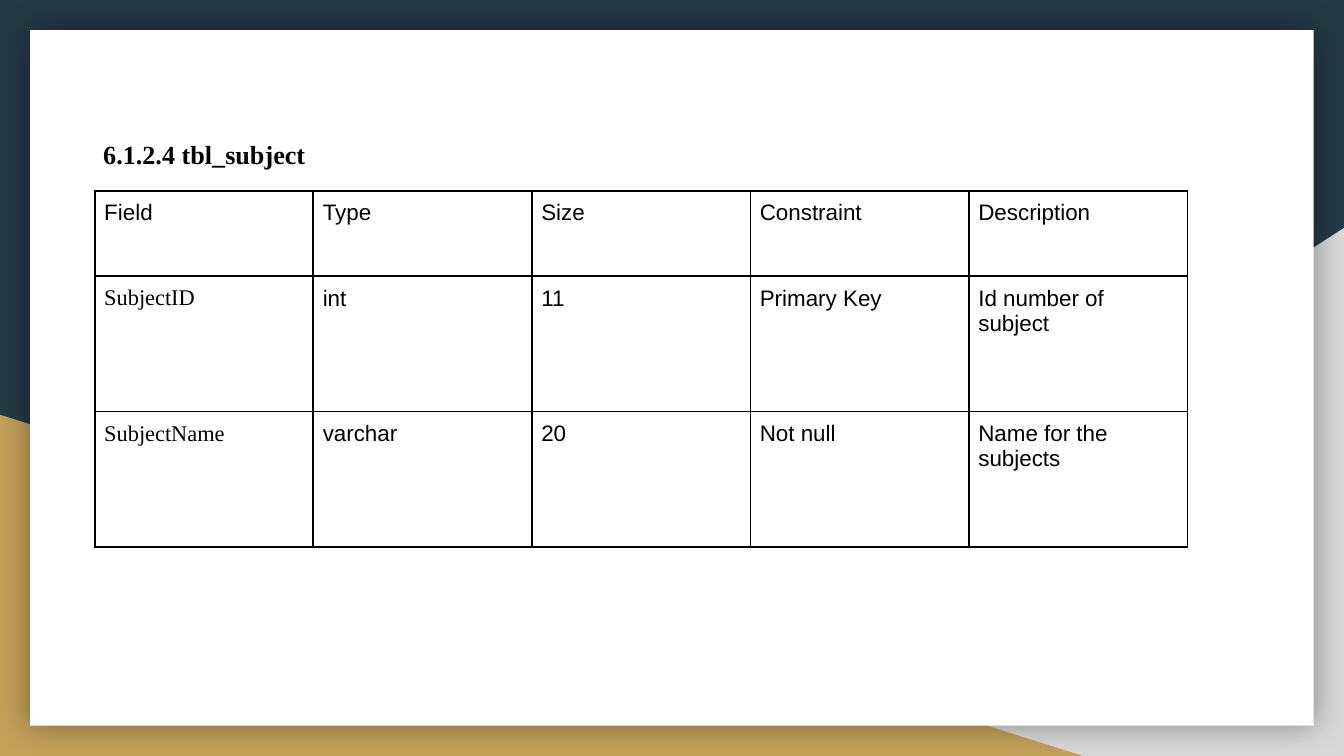
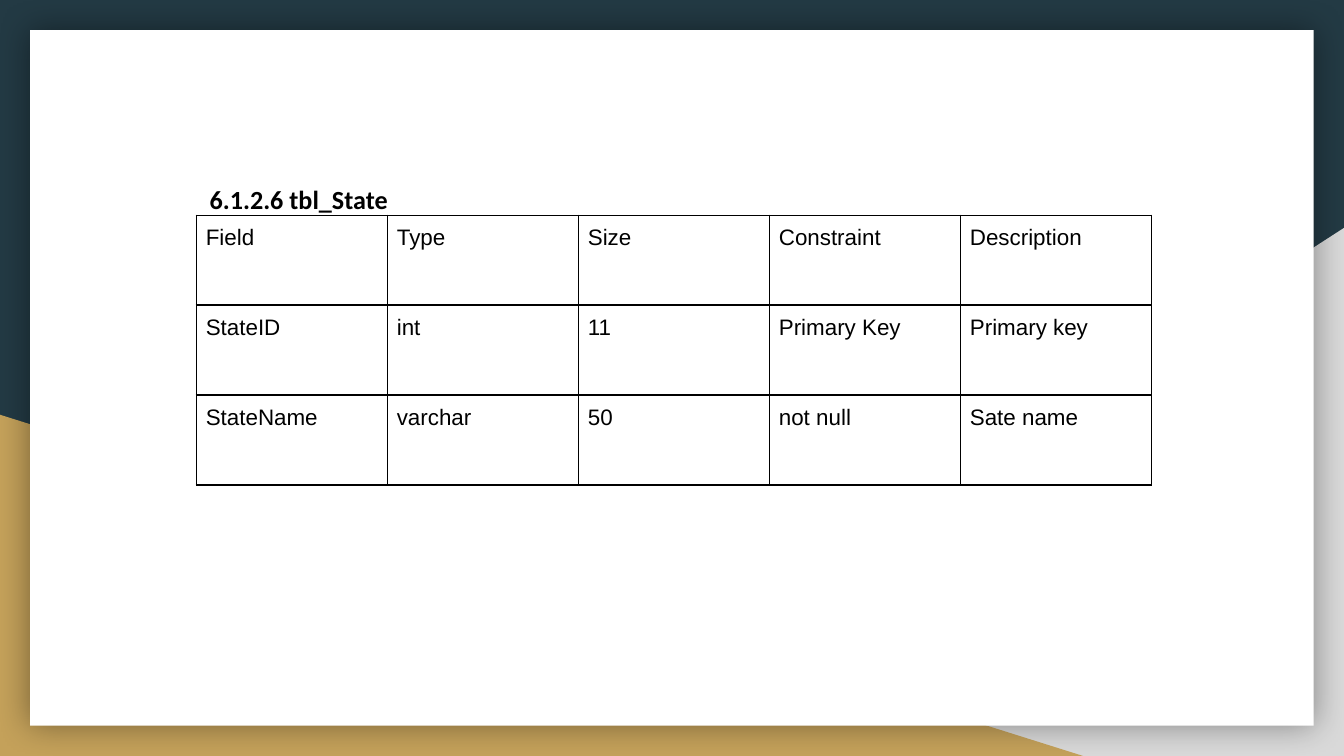
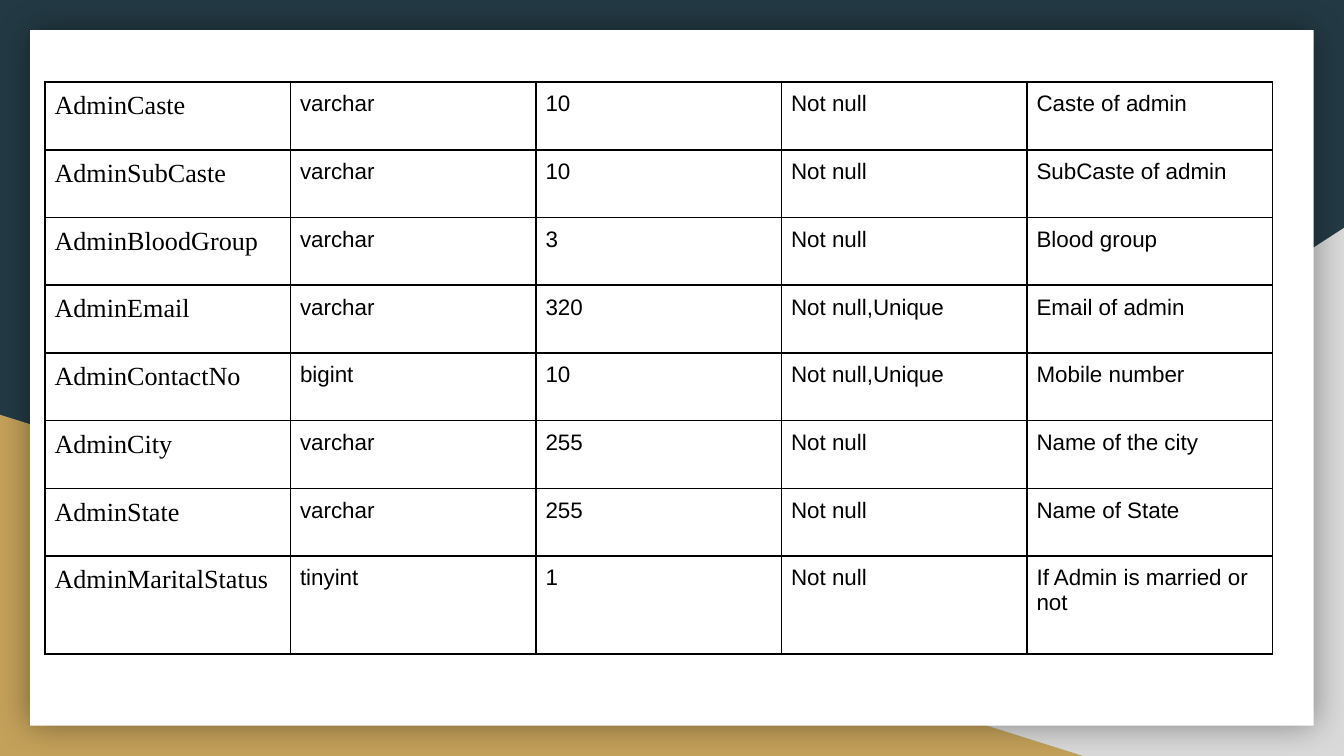
from lxml.etree import SubElement
from pptx import Presentation
from pptx.dml.color import RGBColor
from pptx.enum.shapes import MSO_SHAPE as Shape
from pptx.enum.text import MSO_ANCHOR as Anchor, MSO_AUTO_SIZE as AutoSize, PP_ALIGN as Align
from pptx.oxml.ns import qn
from pptx.util import Cm, Pt

WIDTH, HEIGHT = 25.4, 14.29
MARGIN = 0.57
NAVY, GREY, GOLD, WHITE, BLACK = "233A44", "D9D9D9", "C4A15A", "FFFFFF", "000000"
SANS, SERIF, HEADING = "Arial", "Times New Roman", "Calibri"
TITLE_ONLY, BLANK = 5, 6

COLUMN_NAMES = ["Field", "Type", "Size", "Constraint", "Description"]
SUBJECT_ROWS = [
    COLUMN_NAMES,
    ["SubjectID", "int", "11", "Primary Key", "Id number of subject"],
    ["SubjectName", "varchar", "20", "Not null", "Name for the subjects"],
]
STATE_ROWS = [
    COLUMN_NAMES,
    ["StateID", "int", "11", "Primary Key", "Primary key"],
    ["StateName", "varchar", "50", "not null", "Sate name"],
]
ADMIN_ROWS = [
    ["AdminCaste", "varchar", "10", "Not null", "Caste of admin"],
    ["AdminSubCaste", "varchar", "10", "Not null", "SubCaste of admin"],
    ["AdminBloodGroup", "varchar", "3", "Not null", "Blood group"],
    ["AdminEmail", "varchar", "320", "Not null,Unique", "Email of admin"],
    ["AdminContactNo", "bigint", "10", "Not null,Unique", "Mobile number"],
    ["AdminCity", "varchar", "255", "Not null", "Name of the city"],
    ["AdminState", "varchar", "255", "Not null", "Name of State"],
    ["AdminMaritalStatus", "tinyint", "1", "Not null", "If Admin is married or not"],
]


def paint(color_format, color):
    color_format.rgb = RGBColor.from_string(color)


def set_margins(target, margin):
    """Give a text frame or a table cell the same inset on all sides."""
    target.margin_left = target.margin_right = Cm(margin)
    target.margin_top = target.margin_bottom = Cm(margin)


def add_run(paragraph, text, font_name, size, bold=False):
    run = paragraph.add_run()
    run.text = text
    run.font.name = font_name
    run.font.size = Pt(size)
    run.font.bold = bold
    paint(run.font.color, BLACK)


def add_plain_shape(slide, kind, left, top, width, height, color):
    shape = slide.shapes.add_shape(kind, Cm(left), Cm(top), Cm(width), Cm(height))
    shape.shadow.inherit = False
    shape.fill.solid()
    paint(shape.fill.fore_color, color)
    shape.line.fill.background()
    return shape


def add_glow_shadow(shape):
    """Add a soft shadow that spreads evenly around the shape."""
    effects = shape.element.spPr.find(qn("a:effectLst"))
    shadow = SubElement(effects, qn("a:outerShdw"), blurRad=str(Pt(18)), dist="0",
                        dir="0", algn="ctr", rotWithShape="0")
    color = SubElement(shadow, qn("a:srgbClr"), val=BLACK)
    SubElement(color, qn("a:alpha"), val="40000")


def add_backdrop(slide):
    """Draw the two corner triangles and the white card."""
    width, height = 15.44, 9.98
    right_corner = add_plain_shape(slide, Shape.RIGHT_TRIANGLE, WIDTH - width,
                                   HEIGHT - height, width, height, GREY)
    right_corner.element.spPr.xfrm.set("flipH", "1")
    width, height = 20.47, 6.45
    add_plain_shape(slide, Shape.RIGHT_TRIANGLE, 0, HEIGHT - height, width, height, GOLD)
    card = add_plain_shape(slide, Shape.RECTANGLE, MARGIN, MARGIN,
                           WIDTH - 2 * MARGIN, HEIGHT - 2 * MARGIN, WHITE)
    add_glow_shadow(card)


def add_slide(presentation, layout_index):
    slide = presentation.slides.add_slide(presentation.slide_layouts[layout_index])
    add_backdrop(slide)
    return slide


def set_title(slide, text, left, top, height, font_name):
    title = slide.shapes.title
    slide.shapes.element.append(title.element)  # in front of the card
    title.left, title.top, title.width, title.height = Cm(left), Cm(top), Cm(8.33), Cm(height)
    frame = title.text_frame
    frame.word_wrap = True
    frame.auto_size = AutoSize.NONE
    frame.vertical_anchor = Anchor.MIDDLE
    set_margins(frame, 0.25)
    paragraph = frame.paragraphs[0]
    paragraph.alignment = Align.LEFT
    paragraph.line_spacing = 1.15
    paragraph.space_before = Pt(0)
    add_run(paragraph, text, font_name, 14, bold=True)


def add_borders(cell):
    properties = cell._tc.get_or_add_tcPr()
    for side in ("lnL", "lnR", "lnT", "lnB"):
        line = SubElement(properties, qn(f"a:{side}"), w=str(Pt(1)))
        fill = SubElement(line, qn("a:solidFill"))
        SubElement(fill, qn("a:srgbClr"), val=BLACK)


def add_field_table(slide, rows, left, top, column_width, row_heights, field_font=SANS, field_size=12):
    """Add a bordered table; field names below any heading row use the field font."""
    column_count = len(COLUMN_NAMES)
    table = slide.shapes.add_table(
        len(rows), column_count, Cm(left), Cm(top),
        Cm(column_width * column_count), Cm(sum(row_heights))).table
    table.first_row = table.horz_banding = False
    for column in table.columns:
        column.width = Cm(column_width)
    for row_index, (values, height) in enumerate(zip(rows, row_heights)):
        table.rows[row_index].height = Cm(height)
        for column_index, text in enumerate(values):
            cell = table.cell(row_index, column_index)
            add_borders(cell)
            cell.fill.background()
            set_margins(cell, 0.18)
            is_field = column_index == 0 and values is not COLUMN_NAMES
            font_name, size = (field_font, field_size) if is_field else (SANS, 12)
            add_run(cell.text_frame.paragraphs[0], text, font_name, size)


def main():
    presentation = Presentation()
    presentation.slide_width, presentation.slide_height = Cm(WIDTH), Cm(HEIGHT)
    background = presentation.slide_master.background.fill
    background.solid()
    paint(background.fore_color, NAVY)

    slide = add_slide(presentation, TITLE_ONLY)
    add_field_table(slide, SUBJECT_ROWS, 1.79, 3.61, 4.13, [1.61, 2.56, 2.56], SERIF)
    set_title(slide, "6.1.2.4 tbl_subject", 1.7, 1.45, 2.84, SERIF)

    slide = add_slide(presentation, TITLE_ONLY)
    add_field_table(slide, STATE_ROWS, 3.71, 4.07, 3.61, [1.7] * 3)
    set_title(slide, "6.1.2.6 tbl_State", 3.71, 1.37, 4.7, HEADING)

    slide = add_slide(presentation, BLANK)
    add_field_table(slide, ADMIN_ROWS, 0.85, 1.55, 4.64, [1.28] * 7 + [1.85], SERIF, 14)

    presentation.save("out.pptx")


if __name__ == "__main__":
    main()
